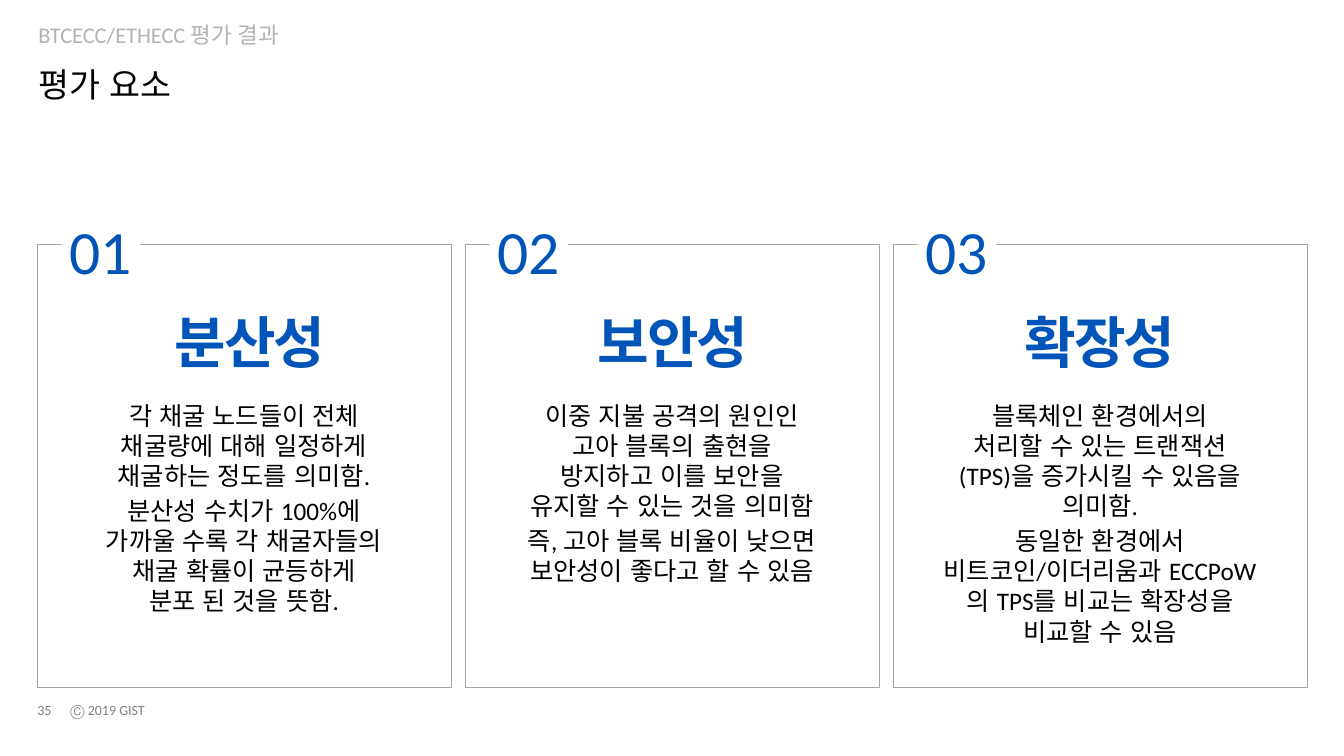
from pptx import Presentation
from pptx.dml.color import RGBColor
from pptx.enum.lang import MSO_LANGUAGE_ID as Language
from pptx.enum.shapes import MSO_SHAPE as Shape
from pptx.enum.text import MSO_ANCHOR as Anchor, PP_ALIGN as Align
from pptx.util import Inches, Pt

BLUE, BLACK, GREY = "0255B8", "000000", "808080"
CARD_LEFT, CARD_TOP, CARD_WIDTH, CARD_HEIGHT, CARD_PITCH = 0.37, 2.43, 4.11, 4.39, 4.245

CRITERIA = [
    ("분산성", 1.2, 2.26, [
        "각 채굴 노드들이 전체\n채굴량에 대해 일정하게\n채굴하는 정도를 의미함.",
        "분산성 수치가 100%에\n가까울 수록 각 채굴자들의 채굴 확률이 균등하게\n분포 된 것을 뜻함."]),
    ("보안성", 1.15, 1.96, [
        "이중 지불 공격의 원인인\n고아 블록의 출현을\n방지하고 이를 보안을\n유지할 수 있는 것을 의미함",
        "즉, 고아 블록 비율이 낮으면 보안성이 좋다고 할 수 있음"]),
    ("확장성", 1.14, 2.57, [
        "블록체인 환경에서의\n처리할 수 있는 트랜잭션\n(TPS)을 증가시킬 수 있음을\n의미함.",
        "동일한 환경에서 비트코인/이더리움과 ECCPoW의 TPS를 비교는 확장성을\n비교할 수 있음"]),
]


def color(value):
    """Turn a hex string into a colour."""
    return RGBColor.from_string(value)


def write(frame, paragraphs, size, ink, align=Align.LEFT, anchor=Anchor.TOP, wrap=True,
          insets=(0.1, 0.05, 0.1, 0.05), line_spacing=None, bold=False, tracking=None):
    """Fill a text frame with equally formatted paragraphs."""
    frame.word_wrap = wrap
    frame.vertical_anchor = anchor
    frame.margin_left, frame.margin_top, frame.margin_right, frame.margin_bottom = map(Inches, insets)
    for index, words in enumerate(paragraphs):
        paragraph = frame.add_paragraph() if index else frame.paragraphs[0]
        paragraph.text = words
        paragraph.alignment = align
        paragraph.space_before = Pt(3 if index else 0)
        if line_spacing:
            paragraph.line_spacing = line_spacing
        for run in paragraph.runs:
            run.font.name = "Calibri"
            run.font.size = Pt(size)
            run.font.bold = bold
            run.font.color.rgb = color(ink)
            run.font.language_id = Language.KOREAN
            if tracking:
                run._r.get_or_add_rPr().set("spc", str(tracking))


def add_text(slide, box, paragraphs, size, ink, **style):
    """Place a text box."""
    textbox = slide.shapes.add_textbox(*map(Inches, box))
    write(textbox.text_frame, paragraphs, size, ink, **style)


def add_rectangle(slide, box, fill=None, line=None):
    """Place a flat rectangle with an optional fill and outline."""
    rectangle = slide.shapes.add_shape(Shape.RECTANGLE, *map(Inches, box))
    rectangle.shadow.inherit = False
    if fill:
        rectangle.fill.solid()
        rectangle.fill.fore_color.rgb = color(fill)
    else:
        rectangle.fill.background()
    if line:
        rectangle.line.color.rgb = color(line)
        rectangle.line.width = Pt(0.75)
    else:
        rectangle.line.fill.background()
    return rectangle


def add_header(slide, left, top, width):
    """Place the section name above the slide title."""
    add_text(slide, (left, top, width, 0.34), ["BTCECC/ETHECC 평가 결과"], 16, "B3B3B3",
             anchor=Anchor.BOTTOM, insets=(0, 0.05, 0.08, 0.05), line_spacing=0.9)
    add_text(slide, (left, top + 0.44, width, 0.46), ["평가 요소"], 24, BLACK,
             insets=(0, 0.05, 0.1, 0.05), line_spacing=0.9)


def add_card(slide, left, top, width, height, number, criterion):
    """Place one numbered criterion inside an outlined card."""
    heading, heading_offset, body_height, explanation = criterion
    add_rectangle(slide, (left, top, width, height), line="A6A6A6")
    badge = add_rectangle(slide, (left + 0.24, top - 0.32, 0.78, 0.74), fill="FFFFFF")
    write(badge.text_frame, [f"{number:02d}"], 44, BLUE, align=Align.CENTER,
          anchor=Anchor.MIDDLE, insets=(0, 0, 0, 0))
    add_text(slide, (left + heading_offset, top + 0.57, 1.82, 0.77), [heading], 40, BLUE,
             align=Align.CENTER, wrap=False, bold=True, tracking=-150)
    add_text(slide, (left + 0.37, top + 1.49, 3.36, body_height), explanation, 18, BLACK,
             align=Align.CENTER)


def add_footer(slide, left, top):
    """Place the page number and the copyright line."""
    add_text(slide, (left, top + 0.01, 0.39, 0.24), ["35"], 10, GREY,
             anchor=Anchor.MIDDLE, wrap=False, insets=(0, 0, 0, 0))
    add_text(slide, (left + 0.23, top, 0.95, 0.27), ["Ⓒ 2019 GIST"], 10, GREY,
             anchor=Anchor.MIDDLE, wrap=False)


def main():
    """Build the slide and save it."""
    deck = Presentation()
    deck.slide_width, deck.slide_height = Inches(13.33), Inches(7.5)
    slide = deck.slides.add_slide(deck.slide_layouts[6])
    add_header(slide, 0.38, 0.19, 12.6)
    for index, criterion in enumerate(CRITERIA):
        add_card(slide, CARD_LEFT + index * CARD_PITCH, CARD_TOP, CARD_WIDTH, CARD_HEIGHT,
                 index + 1, criterion)
    add_footer(slide, 0.37, 6.91)
    deck.save("out.pptx")


if __name__ == "__main__":
    main()
